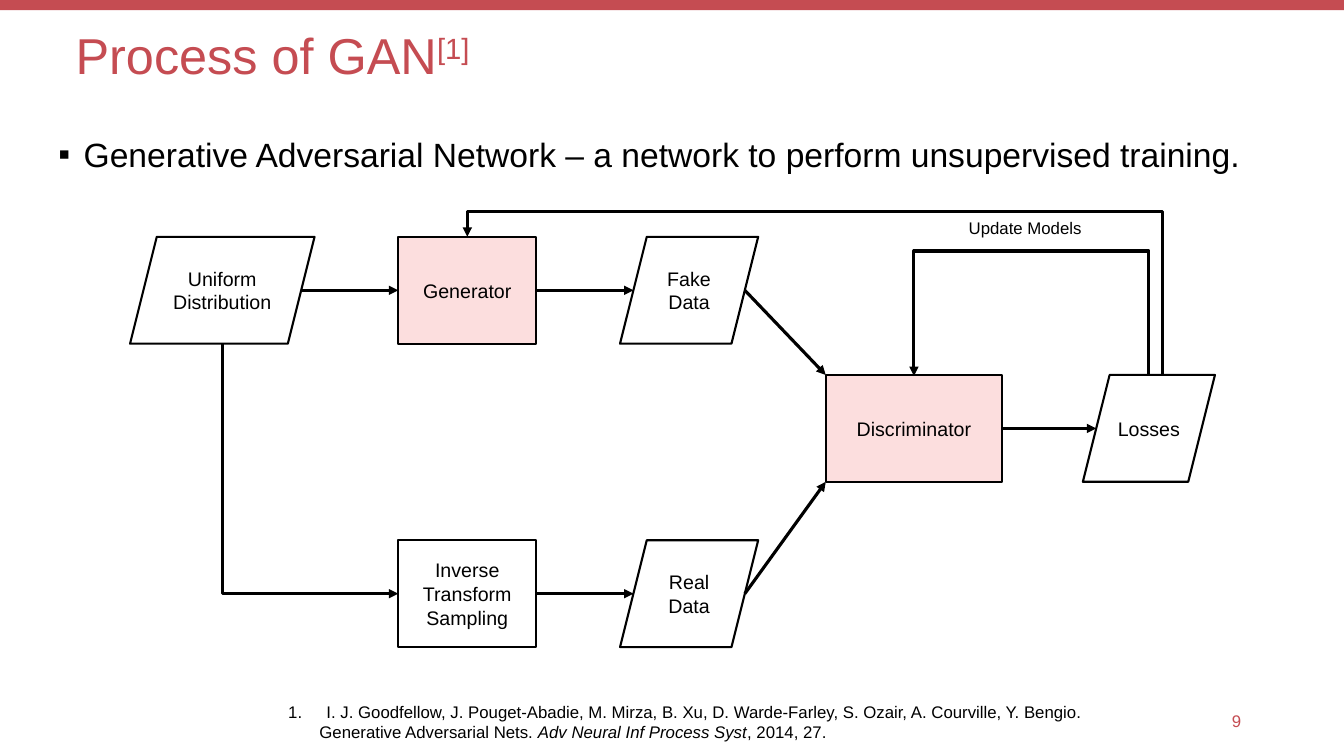
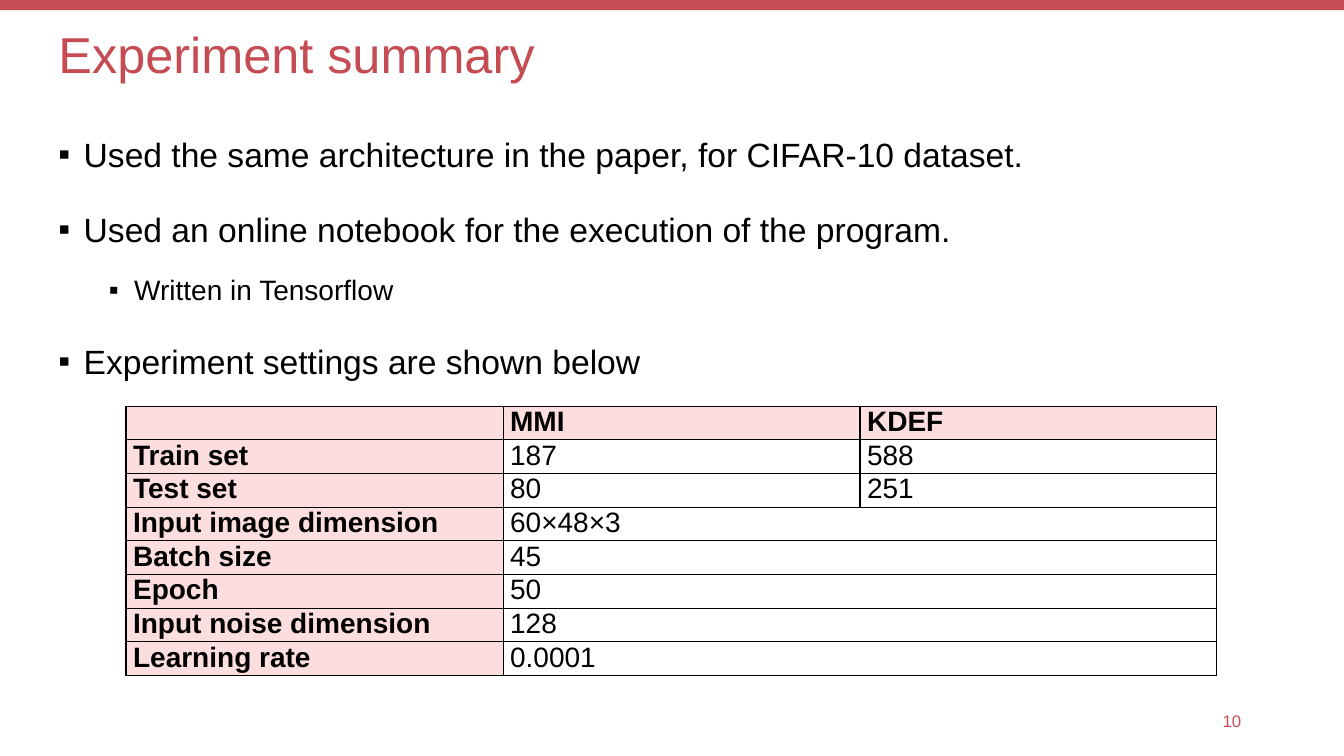
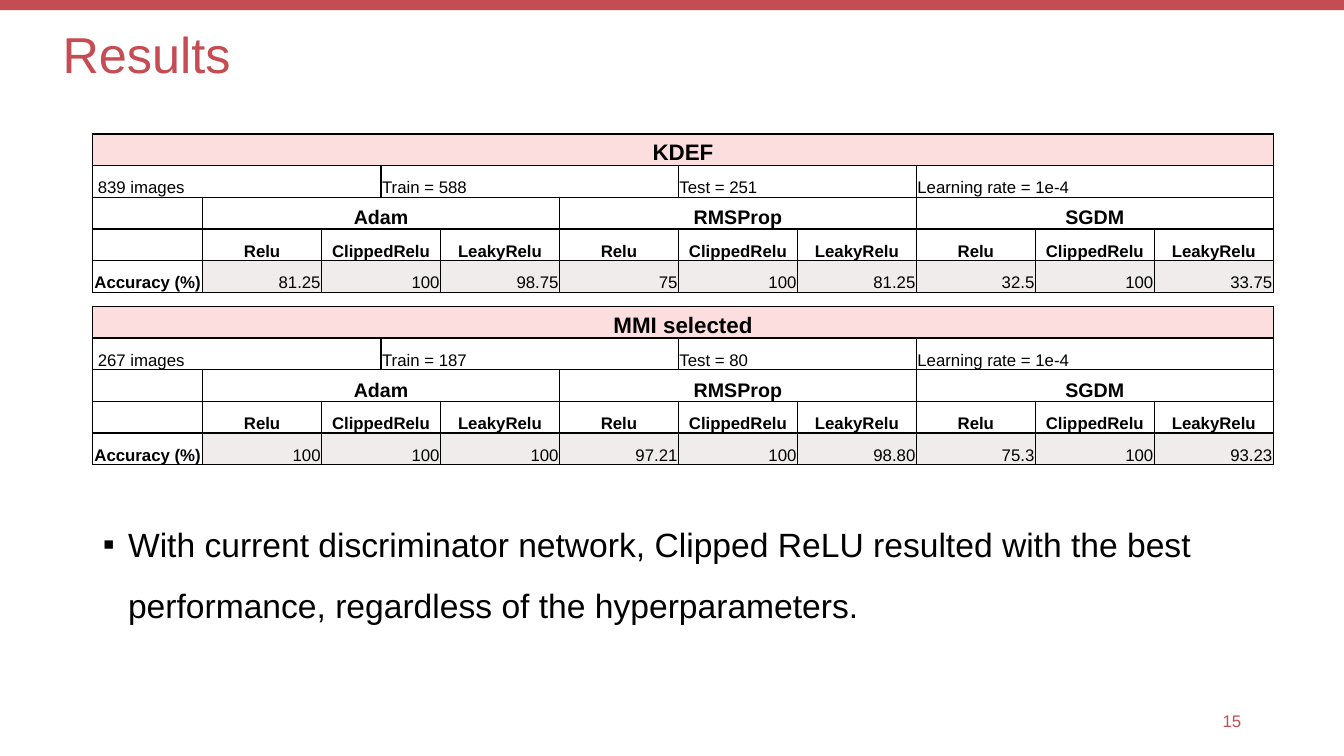
from pptx import Presentation
from pptx.dml.color import RGBColor
from pptx.enum import shapes, text
from pptx.oxml import ns, xmlchemy
from pptx.util import Inches, Pt
from lxml import etree

COLORS = {"accent": "C54C52", "pink": "FCDEDE", "grey": "F1ECEC", "white": "FFFFFF", "ink": "000000"}
FONT = "Arial"
LEFT, CENTER, RIGHT = text.PP_ALIGN.LEFT, text.PP_ALIGN.CENTER, text.PP_ALIGN.RIGHT
MIDDLE, BOTTOM = text.MSO_ANCHOR.MIDDLE, text.MSO_ANCHOR.BOTTOM
NODE_HEIGHT = 1.06
SLANT = NODE_HEIGHT / 8


def rgb(name):
    return RGBColor.from_string(COLORS[name])


def child(parent, tag, **attributes):
    return etree.SubElement(parent, ns.qn(tag), attributes)


def write(frame, content, size=14, color="ink", bold=False, align=LEFT, spacing=None,
          before=0, bullet=None, number=None, indent=0, hanging=0, level=0):
    paragraph = frame.paragraphs[0]
    if paragraph.runs:
        paragraph = frame.add_paragraph()
    paragraph.alignment = align
    paragraph.level = level
    paragraph.space_before = Pt(before)
    if spacing:
        paragraph.line_spacing = spacing
    properties = paragraph._p.get_or_add_pPr()
    properties.set("marL", str(Inches(indent)))
    properties.set("indent", str(-Inches(hanging)))
    if bullet:
        child(properties, "a:buFont", typeface=FONT)
        child(properties, "a:buChar", char=bullet)
    elif number:
        child(properties, "a:buFont", typeface=FONT)
        child(properties, "a:buAutoNum", type=number)
    else:
        child(properties, "a:buNone")
    for part, style in [(content, "")] if isinstance(content, str) else content:
        run = paragraph.add_run()
        run.text = part
        run.font.name = FONT
        run.font.size = Pt(size)
        run.font.bold = bold
        run.font.color.rgb = rgb(color)
        if style == "italic":
            run.font.italic = True
        if style == "superscript":
            run._r.get_or_add_rPr().set("baseline", "30000")


def place(shape, left, top, width, height):
    shape.left, shape.top = Inches(left), Inches(top)
    shape.width, shape.height = Inches(width), Inches(height)


def label(slide, left, top, width, height, anchor=None):
    frame = slide.shapes.add_textbox(Inches(left), Inches(top), Inches(width), Inches(height)).text_frame
    frame.word_wrap = True
    if anchor:
        frame.vertical_anchor = anchor
    return frame


def block(slide, kind, left, top, width, height, fill, outline=None):
    shape = slide.shapes.add_shape(kind, Inches(left), Inches(top), Inches(width), Inches(height))
    shape.shadow.inherit = False
    shape.fill.solid()
    shape.fill.fore_color.rgb = rgb(fill)
    if outline:
        shape.line.color.rgb = rgb("ink")
        shape.line.width = Pt(outline)
    else:
        shape.line.fill.background()
    return shape


def base_slide(deck, title, title_box, body_box, number):
    slide = deck.slides.add_slide(deck.slide_layouts[1])
    heading, body = slide.placeholders[0], slide.placeholders[1]
    place(heading, *title_box)
    place(body, *body_box)
    for placeholder in (heading, body):
        placeholder.text_frame.word_wrap = True
        placeholder.text_frame.auto_size = text.MSO_AUTO_SIZE.NONE
    heading.text_frame.vertical_anchor = MIDDLE
    write(heading.text_frame, title, size=36, color="accent", spacing=0.9)
    write(label(slide, 11.98, 6.95, 0.43, 0.4, MIDDLE), number, size=12, color="accent", align=RIGHT)
    return slide, body.text_frame


def add_band(deck, slide):
    band = block(slide, shapes.MSO_SHAPE.RECTANGLE, -0.01, -0.02, 13.37, 0.12, "accent")
    deck.slide_layouts[1].shapes.element.append(band.element)


def bullet_item(frame, content, level=0):
    first = not frame.paragraphs[0].runs
    write(frame, content, size=20 if level else 24, spacing=1.5, bullet="▪", level=level,
          before=0 if first else 5 if level else 10, indent=0.25 + 0.5 * level, hanging=0.25)


def arrow(slide, start, end, kind=shapes.MSO_CONNECTOR.STRAIGHT):
    connector = slide.shapes.add_connector(kind, *(Inches(value) for value in (*start, *end)))
    connector.line.color.rgb = rgb("ink")
    connector.line.width = Pt(2.25)
    properties = connector.element.spPr
    child(properties.find(ns.qn("a:ln")), "a:tailEnd", type="triangle")
    child(properties, "a:effectLst")
    return connector


def bent_arrow(slide, start, end, rung=None):
    (x1, y1), (x2, y2) = start, end
    middle_x, middle_y = (x1 + x2) / 2, (y1 + y2) / 2
    half_x, half_y = (x2 - x1) / 2, (y2 - y1) / 2
    connector = arrow(slide, (middle_x + half_y, middle_y - half_x),
                      (middle_x - half_y, middle_y + half_x), shapes.MSO_CONNECTOR.ELBOW)
    properties = connector.element.spPr
    properties.find(ns.qn("a:xfrm")).set("rot", "16200000")
    geometry = properties.find(ns.qn("a:prstGeom"))
    if rung is None:
        geometry.set("prst", "bentConnector2")
        return
    guides = geometry.find(ns.qn("a:avLst"))
    if guides is None:
        guides = child(geometry, "a:avLst")
    ratio = round((y1 - rung) / (y1 - y2) * 100000)
    child(guides, "a:gd", name="adj1", fmla=f"val {ratio}")


def flowchart(slide, left, top):
    process, data = shapes.MSO_SHAPE.RECTANGLE, shapes.MSO_SHAPE.PARALLELOGRAM
    upper, center, lower = top + 0.25, top + 1.62, top + 3.26
    nodes = {
        "Uniform Distribution": (data, left, upper, 1.83, "white"),
        "Generator": (process, left + 2.66, upper, 1.37, "pink"),
        "Fake Data": (data, left + 4.86, upper, 1.37, "white"),
        "Discriminator": (process, left + 6.9, center, 1.75, "pink"),
        "Losses": (data, left + 9.45, center, 1.31, "white"),
        "Inverse Transform Sampling": (process, left + 2.66, lower, 1.37, "white"),
        "Real Data": (data, left + 4.86, lower, 1.37, "white"),
    }

    def port(name, across, down):
        kind, x, y, width, _ = nodes[name]
        slant = SLANT * (1 - 2 * across) if kind == data else 0
        return x + width * across + slant, y + NODE_HEIGHT * down

    for name, (kind, x, y, width, fill) in nodes.items():
        frame = block(slide, kind, x, y, width, NODE_HEIGHT, fill, 1.5).text_frame
        frame.word_wrap = True
        frame.vertical_anchor = MIDDLE
        write(frame, name, align=CENTER)
    for source, target in [("Uniform Distribution", "Generator"), ("Generator", "Fake Data"),
                           ("Inverse Transform Sampling", "Real Data"), ("Discriminator", "Losses")]:
        arrow(slide, port(source, 1, 0.5), port(target, 0, 0.5))
    for source, corner in [("Fake Data", 0), ("Real Data", 1)]:
        arrow(slide, port(source, 1, 0.5), port("Discriminator", 0, corner))
    loss_x, loss_y = port("Losses", 0.5, 0)
    discriminator_x, discriminator_y = port("Discriminator", 0.5, 0)
    bent_arrow(slide, (loss_x, loss_y), (discriminator_x, discriminator_y + 0.01), top + 0.37)
    bent_arrow(slide, (loss_x + SLANT, loss_y), port("Generator", 0.5, 0), top)
    bent_arrow(slide, port("Uniform Distribution", 0.5, 1), port("Inverse Transform Sampling", 0, 0.5))
    write(label(slide, left + 8.22, top + 0.01, 1.33, 0.3), "Update Models", size=12)


def citation(slide, left, top, width, height):
    frame = label(slide, left, top, width, height)
    write(frame, "I. J. Goodfellow, J. Pouget-Abadie, M. Mirza, B. Xu, D. Warde-Farley, S. Ozair, "
          "A. Courville, Y. Bengio.", size=12, number="arabicPeriod", indent=0.38, hanging=0.38)
    write(frame, [("Generative Adversarial Nets. ", ""), ("Adv Neural Inf Process Syst", "italic"),
                  (", 2014, 27.", "")], size=12, indent=0.31)


def style_cell(cell, margins, anchor):
    cell.margin_left, cell.margin_top, cell.margin_right, cell.margin_bottom = map(Inches, margins)
    cell.vertical_anchor = anchor
    properties = cell._tc.get_or_add_tcPr()
    for edge in ("a:lnL", "a:lnR", "a:lnT", "a:lnB"):
        line = child(properties, edge, w=str(Pt(1)))
        child(child(line, "a:solidFill"), "a:srgbClr", val=COLORS["ink"])
    cell.fill.solid()
    cell.fill.fore_color.rgb = rgb("white")


def grid(slide, left, top, height, widths, rows, margins, anchor):
    table = slide.shapes.add_table(len(rows), len(widths), Inches(left), Inches(top),
                                   Inches(sum(widths)), Inches(height)).table
    table.first_row = table.horz_banding = False
    for column, width in zip(table.columns, widths):
        column.width = Inches(width)
    for cell in table.iter_cells():
        style_cell(cell, margins, anchor)
    for row_index, row in enumerate(rows):
        table.rows[row_index].height = Inches(height / len(rows))
        column_index = 0
        for span, content, fill, style in row:
            cell = table.cell(row_index, column_index)
            if span > 1:
                cell.merge(table.cell(row_index, column_index + span - 1))
            cell.fill.fore_color.rgb = rgb(fill)
            if content:
                write(cell.text_frame, content, **style)
            column_index += span


def settings_table(slide, left, top):
    settings = [("", "MMI", "KDEF"), ("Train set", "187", "588"), ("Test set", "80", "251"),
                ("Input image dimension", "60×48×3"), ("Batch size", "45"), ("Epoch", "50"),
                ("Input noise dimension", "128"), ("Learning rate", "0.0001")]
    rows = []
    for row_index, (name, *values) in enumerate(settings):
        header = row_index == 0
        span = 3 - len(values)
        rows.append([(1, name, "pink", dict(size=20, bold=True))] + [
            (span, value, "pink" if header else "white", dict(size=20, bold=header)) for value in values])
    grid(slide, left, top, 2.48, [3.74, 3.54, 3.54], rows, (0.07, 0, 0.07, 0), text.MSO_ANCHOR.TOP)


def results_table(slide, left, top, dataset, images, train, test, accuracies):
    activation_spans = [1, 2] + [1] * 7
    heading = dict(size=12, bold=True, align=CENTER)
    facts = [(3, f"Train = {train}"), (2, f"Test = {test}"), (3, "Learning rate = 1e-4")]
    optimizers = [(4, "Adam"), (3, "RMSProp"), (3, "SGDM")]
    activations = ["Relu", "ClippedRelu", "LeakyRelu"] * 3
    blank = (1, "", "white", {})
    rows = [
        [(11, dataset, "pink", dict(heading, size=16))],
        [(3, f"{images} images", "white", dict(size=12, indent=0.04))]
        + [(span, fact, "white", dict(size=12)) for span, fact in facts],
        [blank] + [(span, name, "white", dict(heading, size=14)) for span, name in optimizers],
        [blank] + [(span, name, "white", heading) for span, name in zip(activation_spans, activations)],
        [(1, "Accuracy (%)", "white", heading)]
        + [(span, value, "grey", dict(size=12, align=RIGHT))
           for span, value in zip(activation_spans, accuracies.split())],
    ]
    grid(slide, left, top, 1.57, [1.09, 1.18, 0.59, 0.59] + [1.18] * 7, rows,
         (0.01, 0.01, 0.01, 0), BOTTOM)


def process_slide(deck):
    slide, body = base_slide(deck, [("Process of GAN", ""), ("[1]", "superscript")],
                             (0.65, 0.2, 12.37, 0.76), (0.48, 1.08, 12.37, 5.56), "9")
    add_band(deck, slide)
    bullet_item(body, "Generative Adversarial Network – a network to perform unsupervised training.")
    flowchart(slide, 1.29, 2.1)
    citation(slide, 2.76, 6.91, 8.15, 0.5)


def experiment_slide(deck):
    slide, body = base_slide(deck, "Experiment summary", (0.48, 0.19, 12.37, 0.76),
                             (0.48, 1.08, 12.37, 5.46), "10")
    bullet_item(body, "Used the same architecture in the paper, for CIFAR-10 dataset.")
    bullet_item(body, "Used an online notebook for the execution of the program.")
    bullet_item(body, "Written in Tensorflow", level=1)
    bullet_item(body, "Experiment settings are shown below")
    settings_table(slide, 1.25, 4.03)


def results_slide(deck):
    slide, body = base_slide(deck, "Results", (0.52, 0.19, 12.37, 0.76), (0.92, 4.95, 11.58, 2.15), "15")
    bullet_item(body, "With current discriminator network, Clipped ReLU resulted with the best "
                "performance, regardless of the hyperparameters.")
    results_table(slide, 0.92, 1.33, "KDEF", 839, 588, 251, "81.25 100 98.75 75 100 81.25 32.5 100 33.75")
    results_table(slide, 0.92, 3.04, "MMI selected", 267, 187, 80,
                  "100 100 100 97.21 100 98.80 75.3 100 93.23")


def main():
    deck = Presentation()
    deck.slide_width, deck.slide_height = Inches(13.33), Inches(7.5)
    process_slide(deck)
    experiment_slide(deck)
    results_slide(deck)
    deck.save("out.pptx")


if __name__ == "__main__":
    main()
